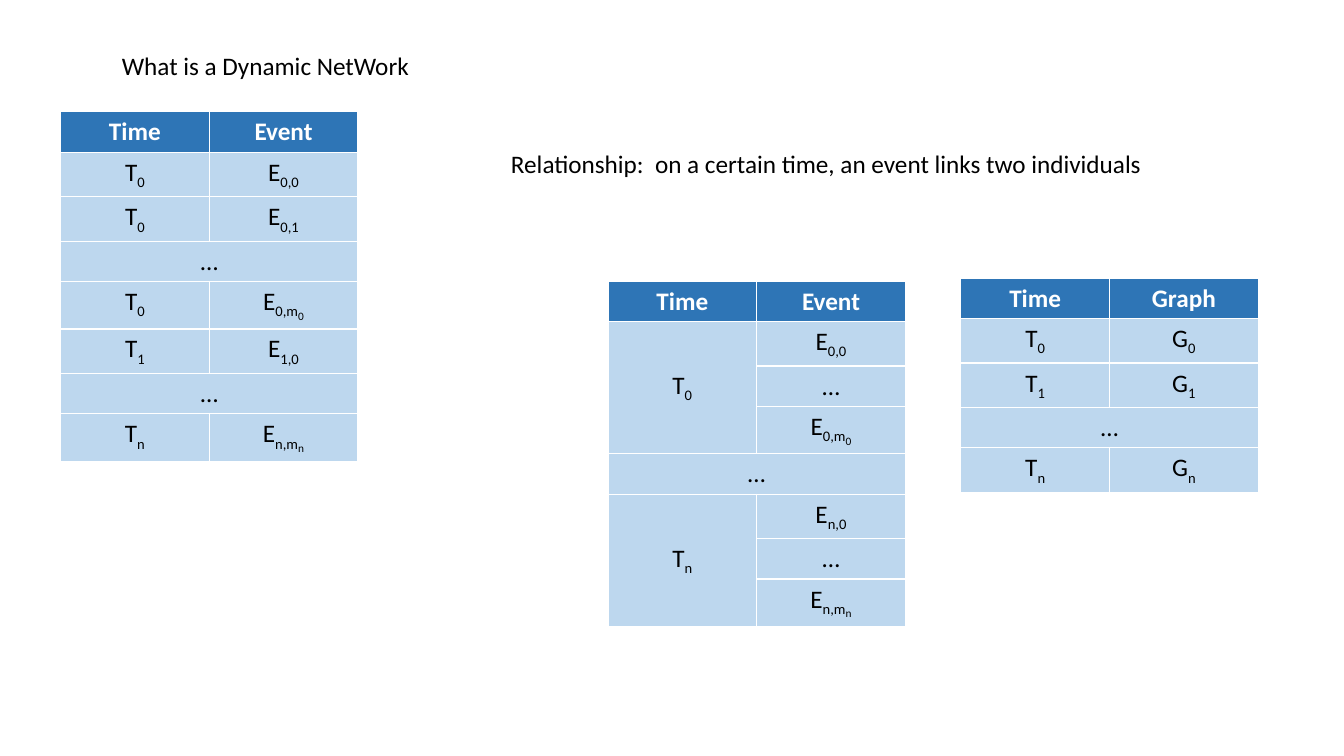
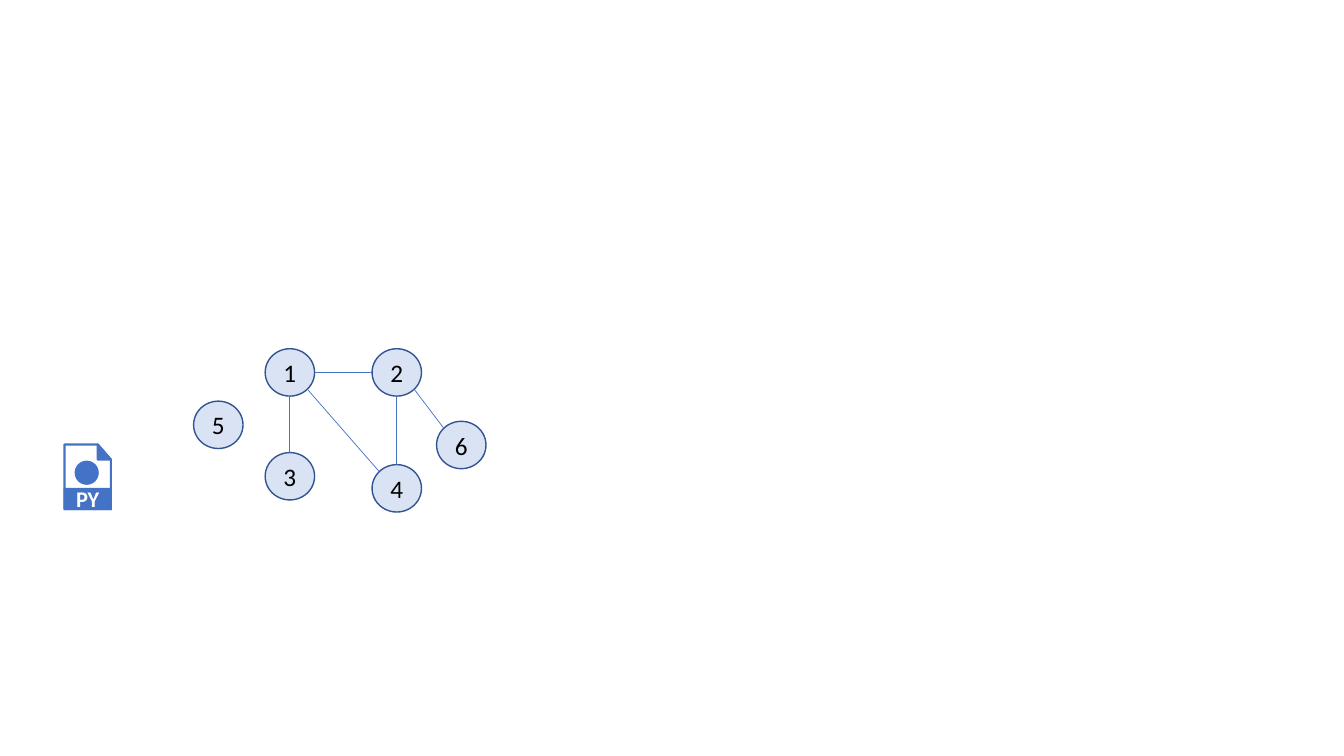
from math import atan2, cos, pi, sin

from lxml.etree import SubElement
from pptx import Presentation
from pptx.dml.color import RGBColor
from pptx.enum.shapes import MSO_CONNECTOR, MSO_SHAPE as SHAPE
from pptx.enum.text import MSO_ANCHOR as ANCHOR, PP_ALIGN as ALIGN
from pptx.oxml.ns import qn
from pptx.util import Inches, Pt

BLACK = RGBColor(0x00, 0x00, 0x00)
WHITE = RGBColor(0xFF, 0xFF, 0xFF)
HEADER_BLUE = RGBColor(0x2E, 0x75, 0xB6)
CELL_BLUE = RGBColor(0xBD, 0xD7, 0xEE)
NODE_FILL = RGBColor(0xDA, 0xE3, 0xF3)
NODE_LINE = RGBColor(0x32, 0x54, 0x91)
ACCENT = RGBColor(0x44, 0x72, 0xC4)
FONT = "Calibri"
SIZE = 18

LABELS = [
    (1.11, 0.45, 3.08, "What is a Dynamic NetWork"),
    (4.97, 1.42, 6.53,
     "Relationship:  on a certain time, an event links two individuals"),
]

# In a cell, "|" steps down to a subscript, then to a subscript of that.
# LEFT and UP mark cells merged into their neighbour.
LEFT, UP, DOTS = "<", "^", "…"
EVENT_LIST = [
    ("Time", "Event"),
    ("T|0", "E|0,0"),
    ("T|0", "E|0,1"),
    (DOTS, LEFT),
    ("T|0", "E|0,m|0"),
    ("T|1", "E|1,0"),
    (DOTS, LEFT),
    ("T|n", "E|n,m|n"),
]
EVENTS_BY_TIME = [
    ("Time", "Event"),
    ("T|0", "E|0,0"),
    (UP, DOTS),
    (UP, "E|0,m|0"),
    (DOTS, LEFT),
    ("T|n", "E|n,0"),
    (UP, DOTS),
    (UP, "E|n,m|n"),
]
GRAPHS_BY_TIME = [
    ("Time", "Graph"),
    ("T|0", "G|0"),
    ("T|1", "G|1"),
    (DOTS, LEFT),
    ("T|n", "G|n"),
]
TABLES = [
    (0.6, 1.11, EVENT_LIST),
    (6.03, 2.79, EVENTS_BY_TIME),
    (9.53, 2.76, GRAPHS_BY_TIME),
]
COL_W, ROW_H = 1.475, 0.4
SUB_LEVELS = [(None, SIZE), ("-25000", SIZE), ("-50000", 14)]

NODE_W, NODE_H = 0.49, 0.47
NODES = {
    "1": (2.63, 3.46), "2": (3.69, 3.46), "3": (2.63, 4.49),
    "4": (3.69, 4.61), "5": (1.92, 3.98), "6": (4.33, 4.18),
}
EDGES = ["12", "13", "14", "26", "24"]

PAGE = [(0.64, 4.41), (0.97, 4.41), (1.1, 4.56), (1.1, 5.05), (0.64, 5.05)]
FOLD = [(0.97, 4.41), (1.1, 4.56), (0.97, 4.56)]


def add_run(p, text, color=BLACK, size=SIZE, bold=False):
    r = p.add_run()
    r.text = text
    r.font.name, r.font.size, r.font.bold = FONT, Pt(size), bold
    r.font.color.rgb = color
    return r


def style(sp, fill, line=None, width=1):
    sp.shadow.inherit = False
    sp.fill.solid()
    sp.fill.fore_color.rgb = fill
    if line is None:
        sp.line.fill.background()
    else:
        sp.line.color.rgb = line
        sp.line.width = Pt(width)


def add_label(s, x, y, w, text):
    tf = s.shapes.add_textbox(*map(Inches, (x, y, w, 0.4))).text_frame
    tf.word_wrap = False
    add_run(tf.paragraphs[0], text)


def add_shape(s, kind, box, fill, line=None, text="", color=BLACK, size=SIZE,
              bold=False):
    sp = s.shapes.add_shape(kind, *map(Inches, box))
    style(sp, fill, line)
    if text:
        tf = sp.text_frame
        tf.margin_left = tf.margin_right = tf.margin_top = tf.margin_bottom = 0
        tf.vertical_anchor = ANCHOR.MIDDLE
        p = tf.paragraphs[0]
        p.alignment = ALIGN.CENTER
        add_run(p, text, color, size, bold)


def add_outline(s, points, fill):
    points = [(Inches(x), Inches(y)) for x, y in points]
    builder = s.shapes.build_freeform(*points[0])
    builder.add_line_segments(points[1:], close=True)
    style(builder.convert_to_shape(), fill, ACCENT, 1.5)


def fill_cell(cell, text, header):
    cell.fill.solid()
    cell.fill.fore_color.rgb = HEADER_BLUE if header else CELL_BLUE
    if text in (LEFT, UP):
        return
    p = cell.text_frame.paragraphs[0]
    p.alignment = ALIGN.CENTER
    for part, (baseline, size) in zip(text.split("|"), SUB_LEVELS):
        r = add_run(p, part, WHITE if header else BLACK, size, header)
        if baseline:
            r.font._element.set("baseline", baseline)
    if text == DOTS:
        cell.vertical_anchor = ANCHOR.MIDDLE
        cell._tc.get_or_add_tcPr().set("vert", "eaVert")


def add_table(s, x, y, rows):
    n_cols = len(rows[0])
    box = (x, y, COL_W * n_cols, ROW_H * len(rows))
    table = s.shapes.add_table(len(rows), n_cols, *map(Inches, box)).table
    table.horz_banding = False
    for i, row in enumerate(rows):
        for j, text in enumerate(row):
            fill_cell(table.cell(i, j), text, header=i == 0)
    for i, row in enumerate(rows):
        for j, text in enumerate(row):
            if text in (LEFT, UP):
                continue
            bottom, right = i, j
            while bottom + 1 < len(rows) and rows[bottom + 1][j] == UP:
                bottom += 1
            while right + 1 < n_cols and row[right + 1] == LEFT:
                right += 1
            if (bottom, right) != (i, j):
                table.cell(i, j).merge(table.cell(bottom, right))
                table.cell(i, j).vertical_anchor = ANCHOR.MIDDLE


def rim_point(node, angle):
    x, y = NODES[node]
    return (Inches(x + NODE_W / 2 * (1 + cos(angle))),
            Inches(y + NODE_H / 2 * (1 + sin(angle))))


def add_edge(s, a, b):
    """Link two nodes between the rim points nearest in steps of 45 degrees."""
    (ax, ay), (bx, by) = NODES[a], NODES[b]
    angle = round(atan2(by - ay, bx - ax) / (pi / 4)) * pi / 4
    line = s.shapes.add_connector(MSO_CONNECTOR.STRAIGHT, *rim_point(a, angle),
                                  *rim_point(b, angle + pi))
    line.line.color.rgb = ACCENT
    line.line.width = Pt(0.5)
    SubElement(line._element.spPr, qn("a:effectLst"))


def build_tables_slide(s):
    for label in LABELS:
        add_label(s, *label)
    for table in TABLES:
        add_table(s, *table)


def build_graph_slide(s):
    for name, (x, y) in NODES.items():
        add_shape(s, SHAPE.FLOWCHART_CONNECTOR, (x, y, NODE_W, NODE_H),
                  NODE_FILL, NODE_LINE, name)
    for a, b in EDGES:
        add_edge(s, a, b)
    add_outline(s, PAGE, WHITE)
    add_outline(s, FOLD, ACCENT)
    add_shape(s, SHAPE.OVAL, (0.74, 4.57, 0.24, 0.24), ACCENT)
    add_shape(s, SHAPE.RECTANGLE, (0.63, 4.84, 0.48, 0.22), ACCENT,
              text="PY", color=WHITE, size=16, bold=True)


def main():
    prs = Presentation()
    prs.slide_width, prs.slide_height = Inches(13.33), Inches(7.5)
    for build in (build_tables_slide, build_graph_slide):
        build(prs.slides.add_slide(prs.slide_layouts[6]))
    prs.save("out.pptx")


if __name__ == "__main__":
    main()
